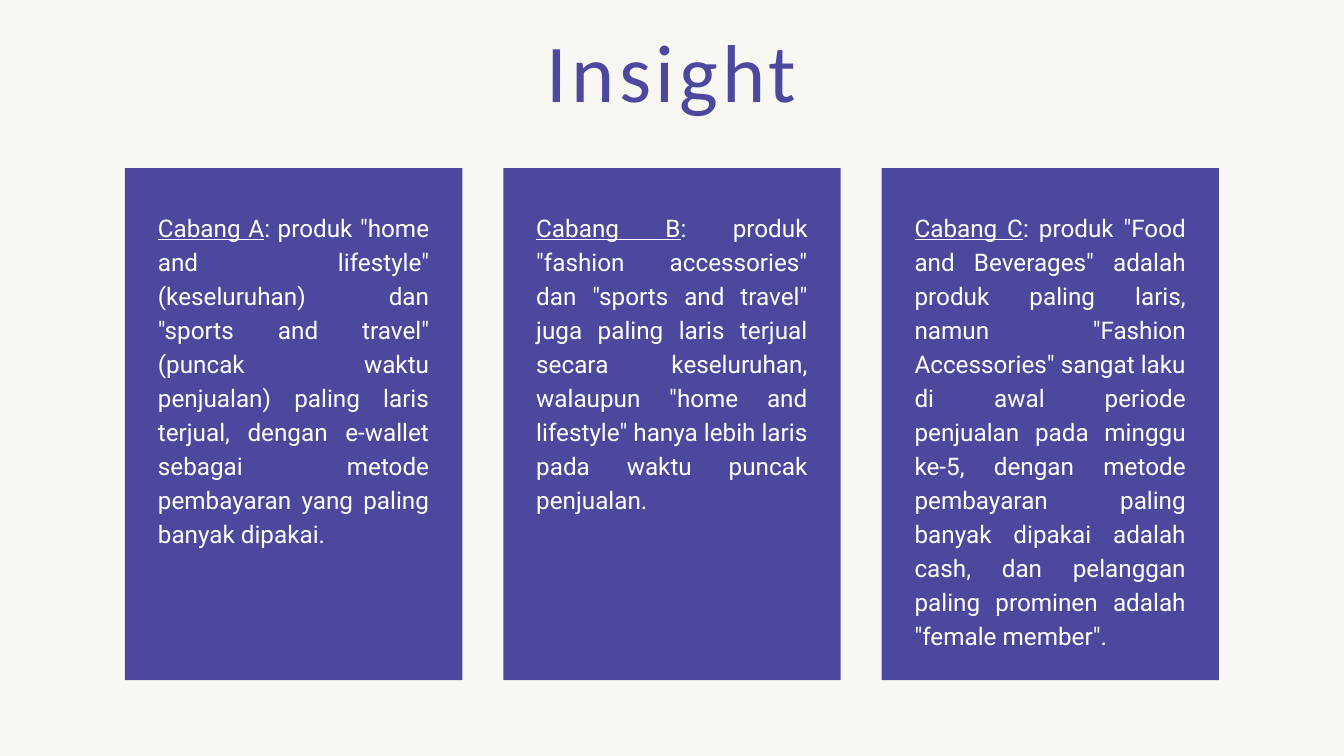
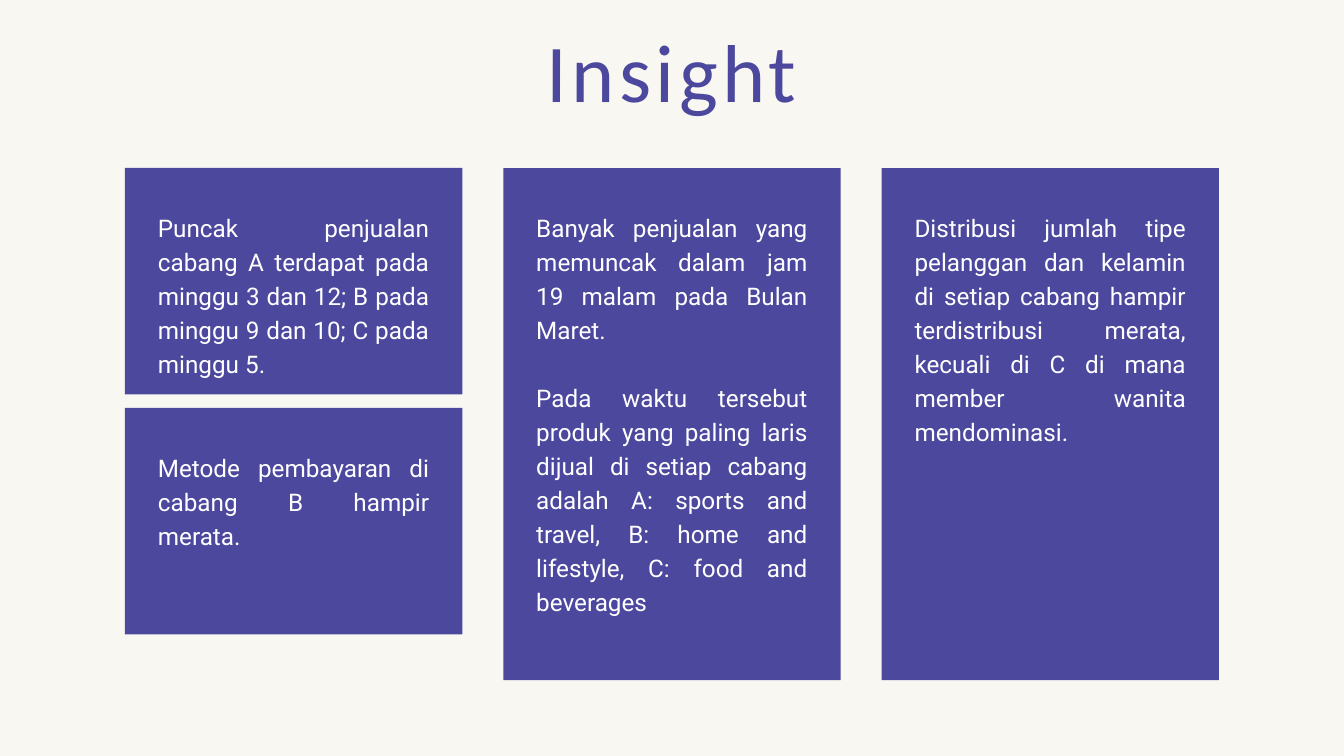
"""Build two insight slides with cards comparing the sales branches."""
from dataclasses import dataclass

from pptx import Presentation
from pptx.dml.color import RGBColor
from pptx.enum.shapes import MSO_SHAPE
from pptx.enum.text import MSO_ANCHOR, MSO_AUTO_SIZE, PP_ALIGN
from pptx.util import Inches, Pt


@dataclass(frozen=True)
class Theme:
    background: RGBColor = RGBColor(0xF8, 0xF7, 0xF1)
    accent: RGBColor = RGBColor(0x4C, 0x48, 0x9E)
    card_text: RGBColor = RGBColor(0xFF, 0xFF, 0xFF)
    title_font: str = "Calibri"
    body_font: str = "Roboto"
    title_size: float = 88
    title_tracking: float = 4.7
    body_size: float = 26
    body_leading: float = 36.4


theme = Theme()

CARD_LEFT, CARD_TOP = 1.86, 2.5
CARD_WIDTH, COLUMN_STEP = 5.02, 5.63
TALL, SHORT, ROW_GAP = 7.62, 3.37, 0.2
PADDING_X, PADDING_Y = 0.49, 0.6
SECOND_ROW_TOP = CARD_TOP + SHORT + ROW_GAP

# Each card: column, top, card height, text height, underlined lead, paragraphs
slides = [
    [
        (0, CARD_TOP, TALL, 4.99, "Cabang A", [
            ': produk "home and lifestyle" (keseluruhan) dan "sports and travel" '
            "(puncak waktu penjualan) paling laris terjual, dengan e-wallet sebagai "
            "metode pembayaran yang paling banyak dipakai."]),
        (1, CARD_TOP, TALL, 4.49, "Cabang B", [
            ': produk "fashion accessories" dan "sports and travel" juga paling laris '
            'terjual secara keseluruhan, walaupun "home and lifestyle" hanya lebih '
            "laris pada waktu puncak penjualan."]),
        (2, CARD_TOP, TALL, 7.49, "Cabang C", [
            ': produk "Food and Beverages" adalah produk paling laris, namun "Fashion '
            'Accessories" sangat laku di awal periode penjualan pada minggu ke-5, '
            "dengan metode pembayaran paling banyak dipakai adalah cash, dan "
            'pelanggan paling prominen adalah "female member".']),
    ],
    [
        (0, CARD_TOP, SHORT, 1.99, "", [
            "Puncak penjualan cabang A terdapat pada minggu 3 dan 12; B pada minggu 9 "
            "dan 10; C pada minggu 5."]),
        (1, CARD_TOP, TALL, 5.49, "", [
            "Banyak penjualan yang memuncak dalam jam 19 malam pada Bulan Maret.",
            "Pada waktu tersebut produk yang paling laris dijual di setiap cabang "
            "adalah A: sports and travel, B: home and lifestyle, C: food and "
            "beverages"]),
        (2, CARD_TOP, TALL, 3.99, "", [
            "Distribusi jumlah tipe pelanggan dan kelamin di setiap cabang hampir "
            "terdistribusi merata, kecuali di C di mana member wanita mendominasi."]),
        (0, SECOND_ROW_TOP, SHORT, 0.99, "", [
            "Metode pembayaran di cabang B hampir merata."]),
    ],
]


def prepare_frame(frame):
    """Remove the margins and let the box grow with its wrapped text."""
    frame.margin_left = frame.margin_right = 0
    frame.margin_top = frame.margin_bottom = 0
    frame.word_wrap = True
    frame.vertical_anchor = MSO_ANCHOR.TOP
    frame.auto_size = MSO_AUTO_SIZE.SHAPE_TO_FIT_TEXT


def format_paragraph(paragraph, font_name, size, color, leading, alignment):
    """Give a paragraph and all its runs one style."""
    paragraph.alignment = alignment
    paragraph.line_spacing = Pt(leading)
    for span in paragraph.runs:
        span.font.name = font_name
        span.font.size = Pt(size)
        span.font.color.rgb = color


deck = Presentation()
deck.slide_width, deck.slide_height = Inches(20), Inches(11.25)
background = deck.slide_master.background.fill
background.solid()
background.fore_color.rgb = theme.background

for cards in slides:
    page = deck.slides.add_slide(deck.slide_layouts[5])
    title = page.shapes.title
    title.left, title.top = Inches(4.52), Inches(0.55)
    title.width, title.height = Inches(10.95), Inches(1.31)
    title.rotation = 0.1
    title.text_frame.text = "Insight"
    prepare_frame(title.text_frame)
    heading = title.text_frame.paragraphs[0]
    format_paragraph(heading, theme.title_font, theme.title_size, theme.accent,
                     theme.title_size, PP_ALIGN.CENTER)
    heading.runs[0].font._element.set("spc", str(round(theme.title_tracking * 100)))

    for column, top, height, text_height, lead, paragraphs in cards:
        left = CARD_LEFT + column * COLUMN_STEP
        card = page.shapes.add_shape(MSO_SHAPE.RECTANGLE, Inches(left), Inches(top),
                                     Inches(CARD_WIDTH), Inches(height))
        card.shadow.inherit = False
        card.fill.solid()
        card.fill.fore_color.rgb = theme.accent
        card.line.fill.background()

        box = page.shapes.add_textbox(
            Inches(left + PADDING_X), Inches(top + PADDING_Y),
            Inches(CARD_WIDTH - 2 * PADDING_X), Inches(text_height))
        frame = box.text_frame
        prepare_frame(frame)
        for index, text in enumerate(paragraphs):
            paragraph = frame.add_paragraph() if index else frame.paragraphs[0]
            if index:
                paragraph.space_before = Pt(theme.body_leading)
            elif lead:
                span = paragraph.add_run()
                span.text = lead
                span.font.underline = True
            paragraph.add_run().text = text
            format_paragraph(paragraph, theme.body_font, theme.body_size,
                             theme.card_text, theme.body_leading, PP_ALIGN.JUSTIFY)

deck.save("out.pptx")
